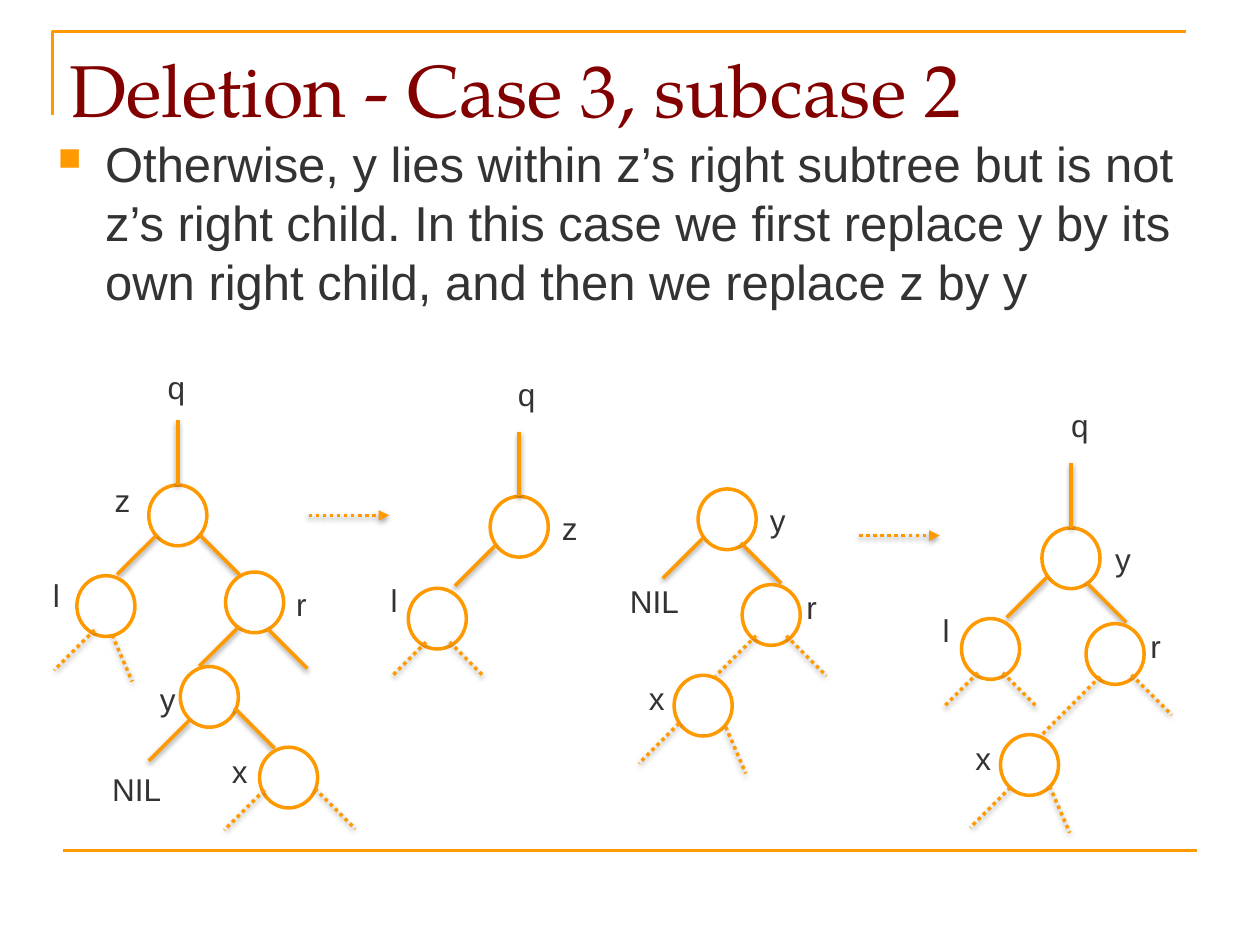
from pptx import Presentation, util as u
from pptx.dml.color import RGBColor
from pptx.enum import dml, shapes, text
from pptx.oxml import parse_xml
from pptx.oxml.ns import nsdecls

Pt = u.Pt
ORANGE = RGBColor(0xFF, 0x99, 0x00)
MAROON = RGBColor(0x82, 0x00, 0x00)
GREY = RGBColor(0x33, 0x33, 0x33)
WHITE = RGBColor(0xFF, 0xFF, 0xFF)

NODE_W, NODE_H, STEM = 33.2, 34.7, 37
LABEL_W = {"l": 12.2, "r": 14.4, "NIL": 36}

# Branch directions, from the node downwards
SW, SE, STEEP = (-23, 23), (23, 23), (11.5, 26.6)
SHORT_SW, SHORT_SE, LONG_SW = (-19.2, 19.2), (19.2, 19.2), (-35.3, 35.3)
SOLID, DOTTED = False, True

# Nodes: left, top, branch style, branches as (start x, start y, direction)
# Labels: text, left, top
TREES = [
    {"nodes": [
        (85, 277.2, SOLID, [(90, 305.3, SW), (113.8, 305.3, SE)]),
        (43.9, 329, DOTTED, [(54, 360, SW), (64.1, 362.9, STEEP)]),
        (128.9, 326.9, SOLID, [(136.8, 357.8, SW), (152.6, 359, SE)]),
        (103, 380.9, SOLID, [(108, 411.8, SW), (133.9, 404.6, SE)]),
        (148.3, 427, DOTTED, [(151.2, 451.4, SW), (180, 450.7, SE)])],
     "stem": True,
     "labels": [("q", 92.2, 206.6), ("z", 61.9, 271.4), ("l", 26.6, 325.4),
                ("NIL", 60.5, 436.3), ("r", 165.6, 330.5),
                ("y", 87.8, 385.2), ("x", 128.9, 426.2)]},
    {"nodes": [
        (280.1, 283.7, SOLID, [(283, 311.8, SW)]),
        (233.3, 336.2, DOTTED, [(243.4, 367, SHORT_SW), (257, 367, SHORT_SE)])],
     "stem": True,
     "labels": [("q", 292.3, 211), ("z", 317.5, 287.3), ("l", 219.6, 328.3)]},
    {"nodes": [
        (398.9, 279.4, SOLID, [(401.8, 307.4, SW), (423.4, 310.3, SE)]),
        (424.1, 334.1, DOTTED, [(432, 363.3, SW), (449.3, 363.3, SE)]),
        (385.2, 385.9, DOTTED, [(388.1, 413.3, SW), (414.7, 415.4, STEEP)])],
     "stem": False,
     "labels": [("y", 436.3, 283), ("r", 457.2, 332.6),
                ("NIL", 356.4, 329), ("x", 367.2, 384.5)]},
    {"nodes": [
        (595.4, 301.7, SOLID, [(598.3, 329.8, SW), (620.6, 332.6, SE)]),
        (549.4, 353.5, DOTTED, [(558.7, 384.5, SHORT_SW), (573.1, 384.5, SHORT_SE)]),
        (620.6, 356.4, DOTTED, [(628.6, 386.6, LONG_SW), (646.6, 385.6, SE)]),
        (571.7, 419.8, DOTTED, [(577.4, 450, SW), (599.8, 449.3, STEEP)])],
     "stem": True,
     "labels": [("q", 608.4, 228.2), ("y", 633.6, 305.3), ("l", 535, 345.6),
                ("r", 653.8, 355), ("x", 553.7, 419)]},
]


class Deck:
    """Holds the style and the current slide."""

    title_font = {"name": "TeX Gyre Pagella", "size": Pt(42), "bold": False}
    body_font = {"name": "Arial", "size": Pt(28)}
    label_font = {"name": "Arial", "size": Pt(18)}
    frame = {"margin_left": Pt(3.6), "margin_right": Pt(3.6),
             "margin_top": Pt(3.6), "margin_bottom": Pt(3.6),
             "vertical_anchor": text.MSO_ANCHOR.TOP}

    def __init__(self, prs):
        self.s = prs.slides.add_slide(prs.slide_layouts[5])

    def set_text(self, sp, words, font, color, **frame):
        tf = sp.text_frame
        for name, value in {**self.frame, **frame}.items():
            setattr(tf, name, value)
        p = tf.paragraphs[0]
        p.alignment = text.PP_ALIGN.LEFT
        r = p.add_run()
        r.text = words
        for name, value in font.items():
            setattr(r.font, name, value)
        r.font.color.rgb = color
        return p

    def title(self, words, x, y, w, h):
        sp = self.s.shapes.title
        sp.left, sp.top, sp.width, sp.height = Pt(x), Pt(y), Pt(w), Pt(h)
        self.set_text(sp, words, self.title_font, MAROON, word_wrap=True,
                      auto_size=text.MSO_AUTO_SIZE.NONE)

    def bullet(self, words, x, y, w, h, indent=27):
        sp = self.s.shapes.add_textbox(Pt(x), Pt(y), Pt(w), Pt(h))
        p = self.set_text(sp, words, self.body_font, GREY, word_wrap=True)
        p.space_before = Pt(7)
        pPr = p._p.get_or_add_pPr()
        pPr.set("marL", str(Pt(indent)))
        pPr.set("indent", str(-Pt(indent)))
        for xml in (f'<a:buClr {nsdecls("a")}><a:srgbClr val="{ORANGE}"/></a:buClr>',
                    f'<a:buSzPct {nsdecls("a")} val="65000"/>',
                    f'<a:buChar {nsdecls("a")} char="■"/>'):
            pPr.append(parse_xml(xml))

    def label(self, words, x, y):
        width = LABEL_W.get(words, 17.6)
        sp = self.s.shapes.add_textbox(Pt(x), Pt(y), Pt(width), Pt(27.4))
        self.set_text(sp, words, self.label_font, GREY, word_wrap=False,
                      auto_size=text.MSO_AUTO_SIZE.SHAPE_TO_FIT_TEXT)

    def node(self, x, y):
        sp = self.s.shapes.add_shape(shapes.MSO_SHAPE.OVAL, Pt(x), Pt(y),
                                     Pt(NODE_W), Pt(NODE_H))
        sp.shadow.inherit = False
        sp.fill.solid()
        sp.fill.fore_color.rgb = WHITE
        sp.line.color.rgb = ORANGE
        sp.line.width = Pt(2)
        return sp

    def line(self, x1, y1, x2, y2, width=2, dotted=False, arrow=False, shadow=True):
        c = self.s.shapes.add_connector(shapes.MSO_CONNECTOR.STRAIGHT,
                                        Pt(x1), Pt(y1), Pt(x2), Pt(y2))
        c.line.color.rgb = ORANGE
        c.line.width = Pt(width)
        if dotted:
            c.line.dash_style = dml.MSO_LINE.ROUND_DOT
        if arrow:
            c.line._get_or_add_ln().append(
                parse_xml(f'<a:tailEnd {nsdecls("a")} type="triangle"/>'))
        effects = parse_xml(f'<a:effectLst {nsdecls("a")}/>')
        if shadow:
            effects.append(parse_xml(
                f'<a:outerShdw {nsdecls("a")} blurRad="{Pt(3)}" dist="{Pt(1.6)}" '
                'dir="5400000" rotWithShape="0"><a:srgbClr val="000000">'
                '<a:alpha val="38000"/></a:srgbClr></a:outerShdw>'))
        c._element.spPr.append(effects)
        return c

    def corner(self, x, y, w, h):
        fb = self.s.shapes.build_freeform(Pt(x), Pt(y + h))
        fb.add_line_segments([(Pt(x), Pt(y)), (Pt(x + w), Pt(y))], close=False)
        sp = fb.convert_to_shape()
        sp.shadow.inherit = False
        sp.fill.background()
        sp.line.color.rgb = ORANGE
        sp.line.width = Pt(1.5)

    def tree(self, nodes, stem, labels):
        for i, (x, y, dotted, branches) in enumerate(nodes):
            sp = self.node(x, y)
            if stem and i == 0:
                mid = x + NODE_W / 2
                self.line(mid, y, mid, y - STEM).begin_connect(sp, 0)
            for bx, by, (dx, dy) in branches:
                self.line(bx, by, bx + dx, by + dy, dotted=dotted)
        for label in labels:
            self.label(*label)


def main():
    prs = Presentation()
    prs.slide_width, prs.slide_height = Pt(720), Pt(540)
    deck = Deck(prs)

    # Frame lines
    deck.corner(30, 18, 648, 48)
    deck.line(36, 486, 684, 486, width=1.5, shadow=False)

    # Title and text
    deck.title("Deletion - Case 3, subcase 2", 36, 21.6, 648, 74)
    deck.bullet("Otherwise, y lies within z’s right subtree but is not z’s right "
                "child. In this case we first replace y by its own right child, "
                "and then we replace z by y", 29.5, 72.7, 648, 417.6)

    # Trees and the steps between them
    for tree in TREES:
        deck.tree(**tree)
    for x, y in ((176.4, 294.5), (491, 306)):
        deck.line(x, y, x + 46, y, dotted=True, arrow=True)

    prs.save("out.pptx")


if __name__ == "__main__":
    main()
